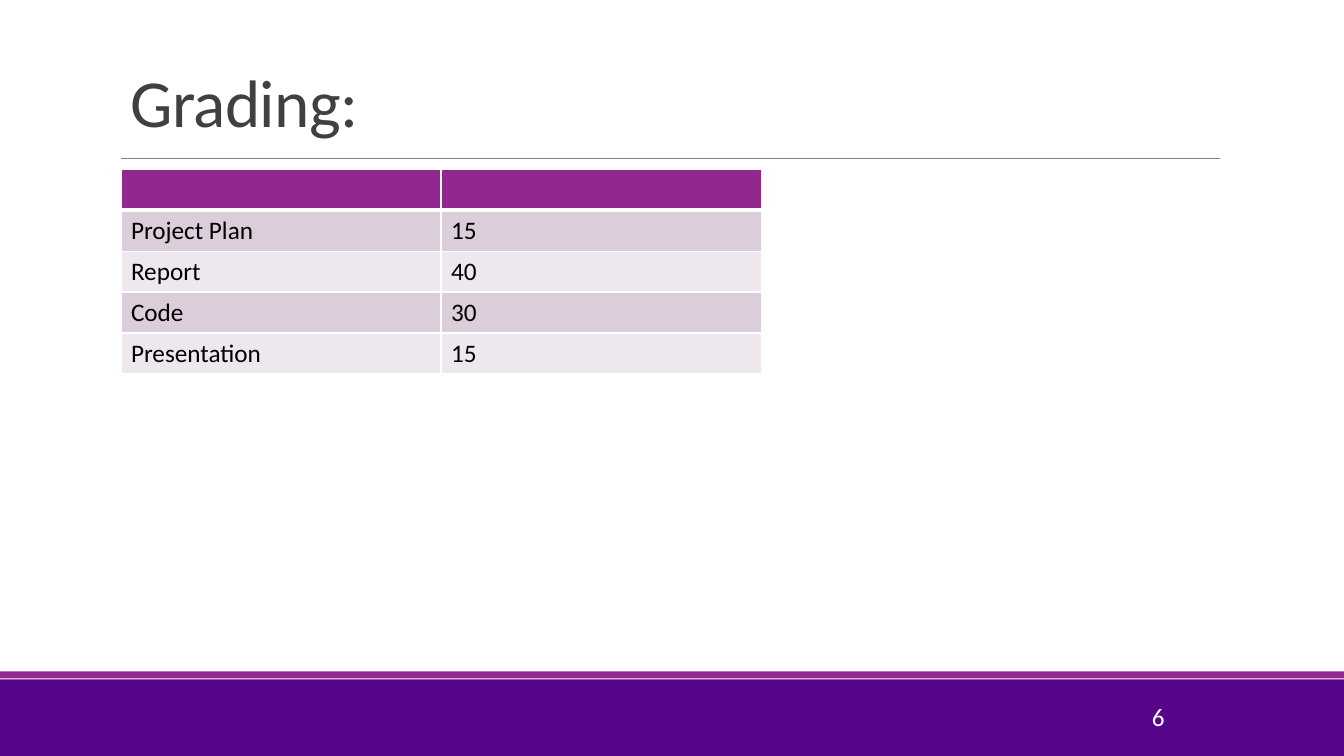
from dataclasses import dataclass

from lxml import etree
from pptx import Presentation
from pptx.dml.color import RGBColor
from pptx.enum.shapes import MSO_CONNECTOR, MSO_SHAPE
from pptx.enum.text import MSO_ANCHOR, PP_ALIGN
from pptx.oxml.ns import qn
from pptx.util import Inches, Pt

RECT, STRAIGHT = MSO_SHAPE.RECTANGLE, MSO_CONNECTOR.STRAIGHT
TOP, MIDDLE, BOTTOM = MSO_ANCHOR.TOP, MSO_ANCHOR.MIDDLE, MSO_ANCHOR.BOTTOM
LEFT, RIGHT = PP_ALIGN.LEFT, PP_ALIGN.RIGHT
FONT = "Calibri"
WIDTH, HEIGHT = 13.33, 7.5
MARGIN = 0.09 * WIDTH
COLORS = {
    "footer": "57068C",
    "accent": "92278F",
    "rule": "808080",
    "title": "404040",
    "text": "000000",
    "white": "FFFFFF",
    "band_dark": "DCCDDB",
    "band_light": "EEE8EE",
}


@dataclass(frozen=True)
class Band:
    top: float
    height: float
    color: str


@dataclass(frozen=True)
class Grade:
    item: str
    points: int


BANDS = [Band(6.74, 0.76, "footer"), Band(6.66, 0.07, "accent")]
GRADES = [
    Grade("Project Plan", 15),
    Grade("Report", 40),
    Grade("Code", 30),
    Grade("Presentation", 15),
]
COL_WIDTH, ROW_HEIGHT = 3.175, 0.406


def rgb(name: str) -> RGBColor:
    return RGBColor.from_string(COLORS[name])


def write(tf, text: str, *, size: float = 18, color: str = "text", align=LEFT,
          anchor=TOP, line_spacing: float = 1.0, tracking: float = 0) -> None:
    tf.word_wrap = True
    tf.vertical_anchor = anchor
    p = tf.paragraphs[0]
    p.alignment = align
    p.line_spacing = line_spacing
    r = p.add_run()
    r.text = text
    r.font.name = FONT
    r.font.size = Pt(size)
    r.font.color.rgb = rgb(color)
    if tracking:
        r.font._element.set("spc", str(round(tracking * 100)))


def add_text(s, left: float, top: float, width: float, height: float,
             text: str, **style) -> None:
    sp = s.shapes.add_textbox(Inches(left), Inches(top), Inches(width), Inches(height))
    write(sp.text_frame, text, **style)


def add_band(s, band: Band) -> None:
    sp = s.shapes.add_shape(RECT, 0, Inches(band.top), Inches(WIDTH), Inches(band.height))
    sp.shadow.inherit = False
    sp.fill.solid()
    sp.fill.fore_color.rgb = rgb(band.color)
    sp.line.fill.background()


def add_rule(s, left: float, right: float, y: float) -> None:
    line = s.shapes.add_connector(STRAIGHT, Inches(left), Inches(y), Inches(right), Inches(y))
    line.line.color.rgb = rgb("rule")
    line.line.width = Pt(0.5)
    etree.SubElement(line._element.spPr, qn("a:effectLst"))


def style_cell(cell, fill: str, bottom: float = 1, top: float = 1) -> None:
    tc_pr = cell._tc.get_or_add_tcPr()
    for side, width in (("L", 1), ("R", 1), ("T", top), ("B", bottom)):
        ln = etree.SubElement(tc_pr, qn(f"a:ln{side}"), w=str(Pt(width)))
        solid = etree.SubElement(ln, qn("a:solidFill"))
        etree.SubElement(solid, qn("a:srgbClr"), val=COLORS["white"])
    cell.fill.solid()
    cell.fill.fore_color.rgb = rgb(fill)


def add_grades(s, left: float, top: float, grades: list[Grade]) -> None:
    rows = [("", "")] + [(g.item, str(g.points)) for g in grades]
    table = s.shapes.add_table(
        len(rows), 2, Inches(left), Inches(top),
        Inches(2 * COL_WIDTH), Inches(len(rows) * ROW_HEIGHT)).table
    for column in table.columns:
        column.width = Inches(COL_WIDTH)
    for i, row in enumerate(rows):
        table.rows[i].height = Inches(ROW_HEIGHT)
        fill = "accent" if i == 0 else "band_dark" if i % 2 else "band_light"
        for j, text in enumerate(row):
            cell = table.cell(i, j)
            style_cell(cell, fill, bottom=3 if i == 0 else 1, top=3 if i == 1 else 1)
            if text:
                write(cell.text_frame, text)


prs = Presentation()
prs.slide_width, prs.slide_height = Inches(WIDTH), Inches(HEIGHT)
s = prs.slides.add_slide(prs.slide_layouts[6])
for band in BANDS:
    add_band(s, band)
add_rule(s, MARGIN, 12.1, 1.57)
add_text(s, MARGIN, 0.31, 11, 1.14, "Grading:", size=48, color="title",
         anchor=BOTTOM, line_spacing=0.85, tracking=-0.5)
add_text(s, 10.22, 6.91, 1.43, 0.4, "6", color="white", align=RIGHT, anchor=MIDDLE)
add_grades(s, MARGIN, 1.68, GRADES)
prs.save("out.pptx")
